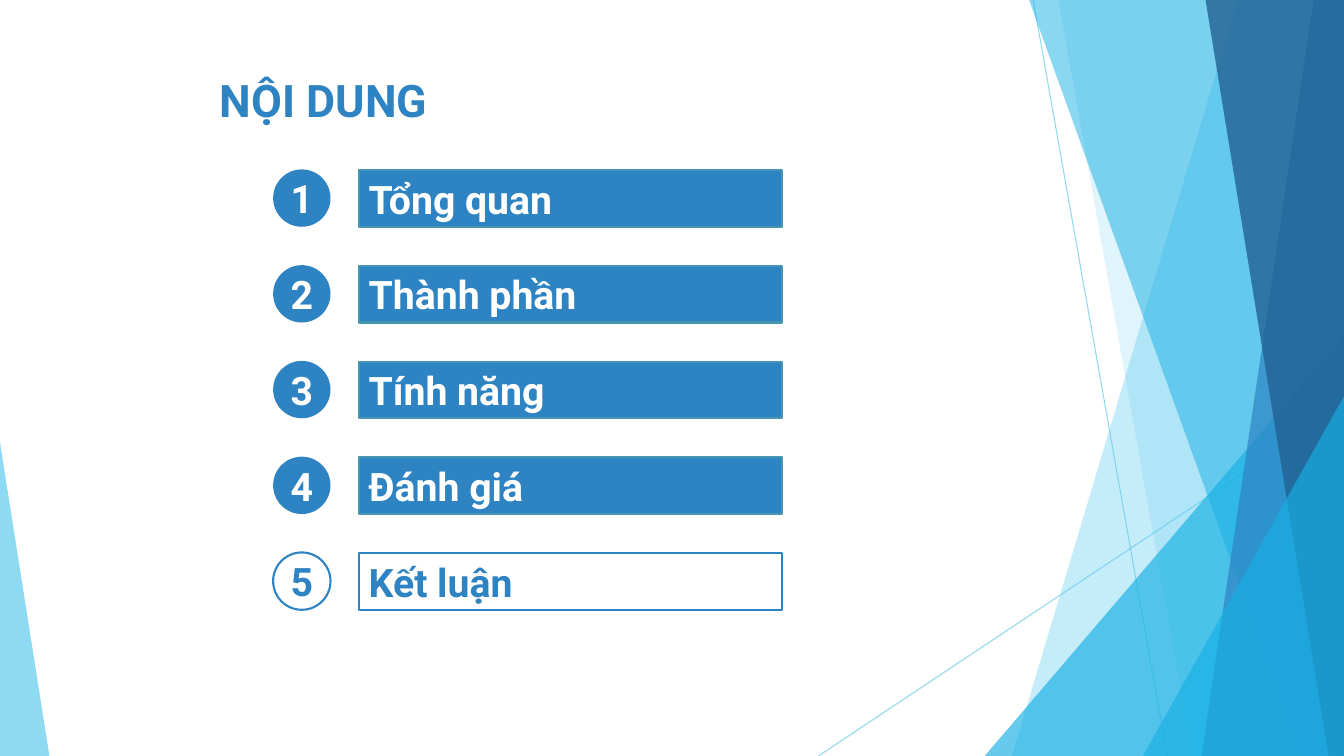
from dataclasses import dataclass

import pptx
import pptx.dml.color
import pptx.enum.shapes
import pptx.enum.text
import pptx.oxml
import pptx.oxml.ns
import pptx.util
from lxml import etree

Pt = pptx.util.Pt
Shape = pptx.enum.shapes.MSO_SHAPE
Align = pptx.enum.text.PP_ALIGN
Anchor = pptx.enum.text.MSO_ANCHOR

WIDE, HIGH = 960, 540
BLUE, SKY, CYAN, NAVY = "2E83C3", "5FCBEF", "17B0E4", "226292"
TEAL, WHITE = "4696B1", "FFFFFF"


@dataclass
class Facet:
    """Full-height panel from a slanted left edge to the right of the slide."""
    top: float
    base: float
    color: str
    alpha: int


@dataclass
class Wedge:
    """Right triangle standing on the bottom of the slide."""
    left: float
    top: float
    width: float
    lean: int
    color: str
    alpha: int


@dataclass
class Ray:
    start: tuple[float, float]
    end: tuple[float, float]


@dataclass
class Item:
    label: str
    fill: str = BLUE
    ink: str = WHITE
    ring: str | None = None
    edge: str = TEAL


RAYS = [Ray((738, 0), (833.8, HIGH)), Ray((WIDE, 290.2), (584.6, HIGH))]
PANELS = [
    Facet(884.2, 722.9, SKY, 36),
    Facet(756, 851.8, SKY, 20),
    Wedge(703.4, 239.8, 256.6, 1, CYAN, 66),
    Facet(735.1, 929.5, CYAN, 50),
    Facet(938.2, 858.2, BLUE, 70),
    Facet(861.1, 949, NAVY, 80),
    Wedge(816.5, 283, 143.5, 1, CYAN, 66),
    Wedge(0, 316.1, 35.3, 0, SKY, 70),
]
ITEMS = [
    Item("Tổng quan"),
    Item("Thành phần"),
    Item("Tính năng"),
    Item("Đánh giá"),
    Item("Kết luận", WHITE, BLUE, BLUE, BLUE),
]
FIRST, PITCH = 121, 68.4


def rgb(code: str) -> pptx.dml.color.RGBColor:
    return pptx.dml.color.RGBColor.from_string(code)


def fade(node, alpha: int) -> None:
    """Set the opacity, in percent, of the solid fill inside a node."""
    color = next(node.iter(pptx.oxml.ns.qn("a:srgbClr")))
    tag = etree.SubElement(color, pptx.oxml.ns.qn("a:alpha"))
    tag.set("val", str(alpha * 1000))


def paint(shape, fill: str, edge: str | None = None) -> None:
    shape.shadow.inherit = False
    shape.fill.solid()
    shape.fill.fore_color.rgb = rgb(fill)
    if edge:
        shape.line.color.rgb = rgb(edge)
        shape.line.width = Pt(1.5)
    else:
        shape.line.fill.background()


def write(shape, text: str, size: float, ink: str, align) -> None:
    frame = shape.text_frame
    frame.text = text
    para = frame.paragraphs[0]
    para.alignment = align
    para.font.name = "Roboto"
    para.font.size = Pt(size)
    para.font.bold = True
    para.font.color.rgb = rgb(ink)


def draw_ray(shapes, ray: Ray) -> None:
    ends = [Pt(n) for n in ray.start + ray.end]
    line = shapes.add_connector(pptx.enum.shapes.MSO_CONNECTOR.STRAIGHT, *ends)
    line.line.color.rgb = rgb(SKY)
    line.line.width = Pt(0.75)
    props = line._element.spPr
    fade(props, 70)
    etree.SubElement(props, pptx.oxml.ns.qn("a:effectLst"))


def draw_panel(shapes, panel: Facet | Wedge) -> None:
    if isinstance(panel, Facet):
        form = shapes.build_freeform(Pt(panel.top), 0, scale=1.0)
        rest = [(WIDE, 0), (WIDE, HIGH), (panel.base, HIGH)]
        form.add_line_segments([(Pt(x), Pt(y)) for x, y in rest], close=True)
        shape = form.convert_to_shape()
    else:
        shape = shapes.add_shape(
            Shape.ISOSCELES_TRIANGLE, Pt(panel.left), Pt(panel.top),
            Pt(panel.width), Pt(HIGH - panel.top))
        shape.adjustments[0] = panel.lean
    paint(shape, panel.color)
    fade(shape._element.spPr, panel.alpha)


def draw_item(shapes, index: int, item: Item) -> None:
    top = FIRST + index * PITCH
    disc = shapes.add_shape(Shape.OVAL, Pt(195.1), Pt(top), Pt(41), Pt(41))
    paint(disc, item.fill, item.ring)
    write(disc, str(index + 1), 28, item.ink, Align.CENTER)
    disc.text_frame.word_wrap = False
    bar = shapes.add_shape(
        Shape.RECTANGLE, Pt(256.3), Pt(top + 0.5), Pt(302.4), Pt(40.5))
    paint(bar, item.fill, item.edge)
    write(bar, item.label, 28, item.ink, Align.LEFT)
    for shape in (disc, bar):
        shape.text_frame.vertical_anchor = Anchor.MIDDLE


def main() -> None:
    deck = pptx.Presentation()
    deck.slide_width, deck.slide_height = Pt(WIDE), Pt(HIGH)
    slide = deck.slides.add_slide(deck.slide_layouts[5])
    shapes = slide.shapes

    # Backdrop
    for ray in RAYS:
        draw_ray(shapes, ray)
    for panel in PANELS:
        draw_panel(shapes, panel)

    # Title
    title = shapes.title
    title.left, title.top = Pt(149.8), Pt(48.2)
    title.width, title.height = Pt(189.4), Pt(46.1)
    write(title, "NỘI DUNG", 32, BLUE, Align.LEFT)
    title.text_frame.vertical_anchor = Anchor.TOP
    title.text_frame.word_wrap = True

    # Contents
    for index, item in enumerate(ITEMS):
        draw_item(shapes, index, item)

    deck.save("out.pptx")


if __name__ == "__main__":
    main()
